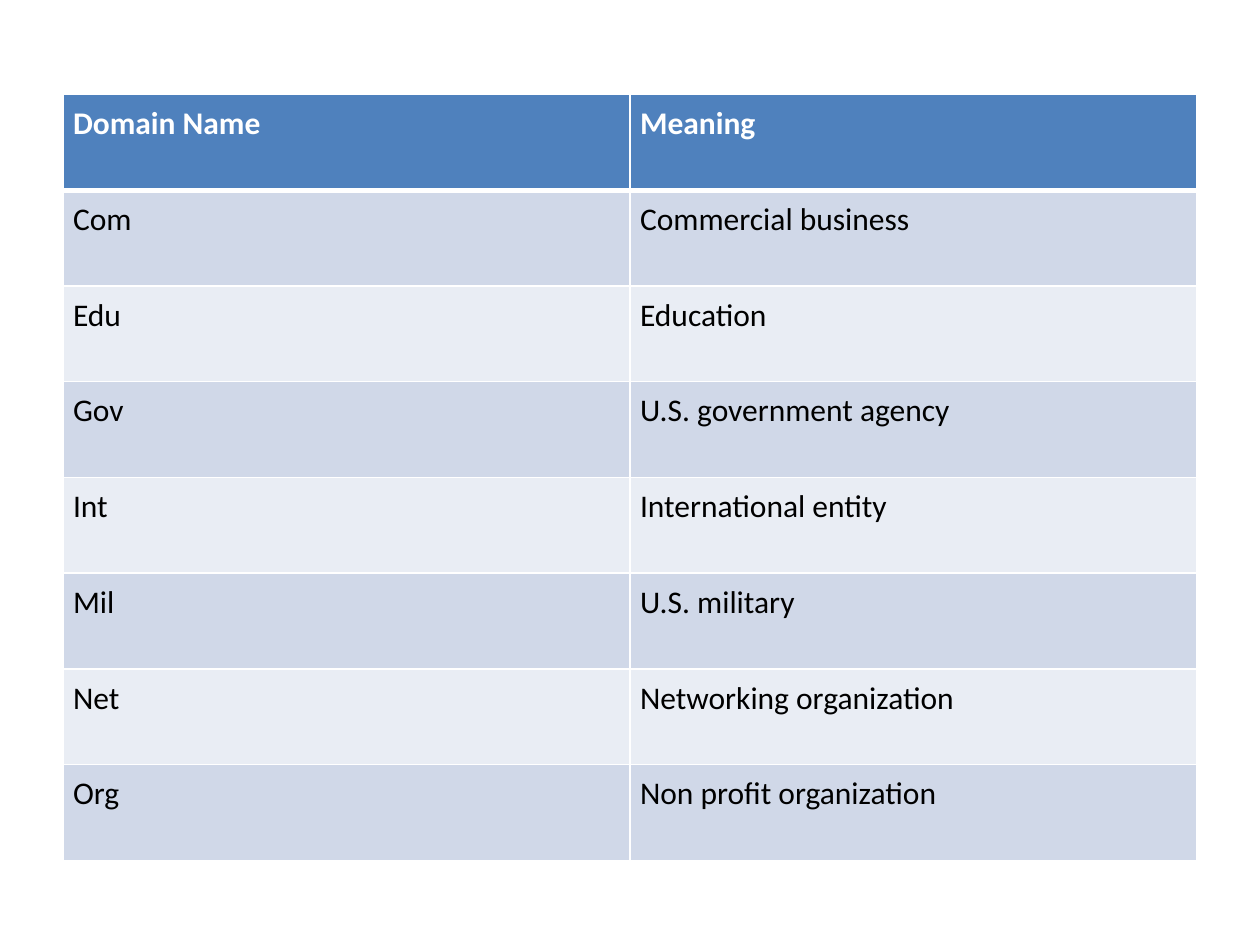
from pptx import Presentation
from pptx.dml.color import RGBColor
from pptx.oxml import parse_xml
from pptx.oxml.ns import nsdecls
from pptx.util import Pt

PX = 9144  # EMU per px, 100 px to the inch
COLORS = {
    "head": "4F81BD",
    "odd": "D0D8E8",
    "even": "E9EDF4",
    "line": "FFFFFF",
    "light": "FFFFFF",
    "dark": "000000",
}
ROWS = [
    ("Domain Name", "Meaning"),
    ("Com", "Commercial business"),
    ("Edu", "Education"),
    ("Gov", "U.S. government agency"),
    ("Int", "International entity"),
    ("Mil", "U.S. military"),
    ("Net", "Networking organization"),
    ("Org", "Non profit organization"),
]
LEFT, TOP, COL, ROW, PAD = 50, 75, 450, 76, 8


def write(cell, text, color="dark", bold=False, size=18, face="Calibri"):
    run = cell.text_frame.paragraphs[0].add_run()
    run.text = text
    font = run.font
    font.name, font.size, font.bold = face, Pt(size), bold
    font.color.rgb = RGBColor.from_string(COLORS[color])


def edge(cell, side, width):
    # Borders come before the fill in the cell properties
    props = cell._tc.get_or_add_tcPr()
    props.append(parse_xml(
        f'<a:{side} {nsdecls("a")} w="{Pt(width)}"><a:solidFill>'
        f'<a:srgbClr val="{COLORS["line"]}"/></a:solidFill></a:{side}>'))


# Slide
deck = Presentation()
deck.slide_width, deck.slide_height = 1000 * PX, 750 * PX
slide = deck.slides.add_slide(deck.slide_layouts[6])

# Table of domain names
frame = slide.shapes.add_table(
    len(ROWS), 2, LEFT * PX, TOP * PX, 2 * COL * PX, len(ROWS) * ROW * PX)
table = frame.table
for col in table.columns:
    col.width = COL * PX
for row in table.rows:
    row.height = ROW * PX

# Cells: header row, then bands
for r, texts in enumerate(ROWS):
    head = r == 0
    band = "head" if head else "odd" if r % 2 else "even"
    for c, text in enumerate(texts):
        cell = table.cell(r, c)
        cell.margin_left = cell.margin_right = PAD * PX
        cell.margin_top = cell.margin_bottom = PAD * PX
        write(cell, text, color="light" if head else "dark", bold=head)
        edge(cell, "lnL", 1)
        edge(cell, "lnR", 1)
        edge(cell, "lnT", 3 if r == 1 else 1)
        edge(cell, "lnB", 3 if head else 1)
        cell.fill.solid()
        cell.fill.fore_color.rgb = RGBColor.from_string(COLORS[band])

deck.save("out.pptx")
